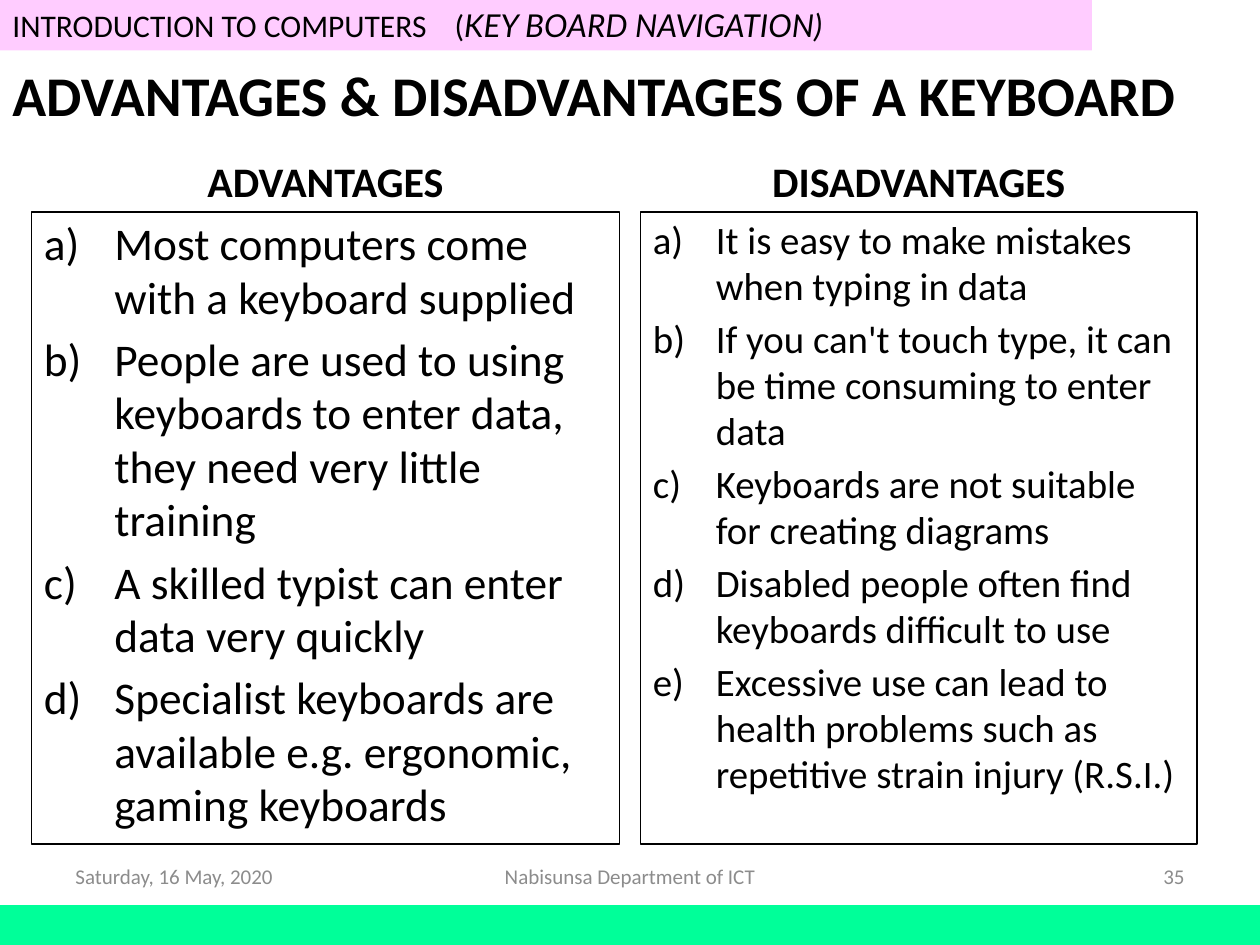
from dataclasses import dataclass

from pptx import Presentation, util as u
from pptx.dml.color import RGBColor
from pptx.enum import shapes, text
from pptx.oxml import xmlchemy
from pptx.oxml.ns import qn
from lxml import etree

# Grid of 120 columns by 90 rows: one cell is a twelfth of an inch
CELLS_PER_INCH = 12
COLOURS = {"text": "000000", "footer": "8C8C8C", "banner": "FFCCFF", "base": "00FF99"}
LEFT, CENTER, RIGHT = text.PP_ALIGN.LEFT, text.PP_ALIGN.CENTER, text.PP_ALIGN.RIGHT
TOP, MIDDLE, BOTTOM = text.MSO_ANCHOR.TOP, text.MSO_ANCHOR.MIDDLE, text.MSO_ANCHOR.BOTTOM


@dataclass
class Area:
    column: float
    row: float
    columns: float
    rows: float

    def lengths(self) -> list:
        cells = (self.column, self.row, self.columns, self.rows)
        return [u.Inches(cell / CELLS_PER_INCH) for cell in cells]


@dataclass
class Panel:
    heading: str
    column: float
    columns: float
    size: float
    indent: float
    items: list


@dataclass
class Footer:
    words: str
    column: float
    columns: float
    align: text.PP_ALIGN


PANELS = [
    Panel("ADVANTAGES", 3, 56, 25.9, 0.56, [
        "Most computers come with a keyboard supplied",
        "People are used to using keyboards to enter data, they need very little training",
        "A skilled typist can enter data very quickly",
        "Specialist keyboards are available e.g. ergonomic, gaming keyboards",
    ]),
    Panel("DISADVANTAGES", 61, 53, 22.2, 0.5, [
        "It is easy to make mistakes when typing in data",
        "If you can't touch type, it can be time consuming to enter data",
        "Keyboards are not suitable for creating diagrams",
        "Disabled people often find keyboards difficult to use",
        "Excessive use can lead to health problems such as repetitive strain injury (R.S.I.)",
    ]),
]
FOOTERS = [
    Footer("Saturday, 16 May, 2020", 6, 28, LEFT),
    Footer("Nabisunsa Department of ICT", 41, 38, CENTER),
    Footer("35", 86, 28, RIGHT),
]


def add_box(slide, area: Area, fill: str = "", line: str = ""):
    shape = slide.shapes.add_shape(shapes.MSO_SHAPE.RECTANGLE, *area.lengths())
    shape.shadow.inherit = False
    if fill:
        shape.fill.solid()
        shape.fill.fore_color.rgb = RGBColor.from_string(COLOURS[fill])
    else:
        shape.fill.background()
    if line:
        shape.line.color.rgb = RGBColor.from_string(COLOURS[line])
        shape.line.width = u.Pt(0.75)
    else:
        shape.line.fill.background()
    return shape


def add_run(paragraph, words: str, size: float, colour: str = "text", font: str = "Calibri",
            bold: bool = False, italic: bool = False) -> None:
    run = paragraph.add_run()
    run.text = words
    run.font.name, run.font.size = font, u.Pt(size)
    run.font.bold, run.font.italic = bold, italic
    run.font.color.rgb = RGBColor.from_string(COLOURS[colour])


def add_label(slide, area: Area, words: str, size: float, align=LEFT, anchor=MIDDLE,
              colour: str = "text", bold: bool = False) -> None:
    frame = slide.shapes.add_textbox(*area.lengths()).text_frame
    frame.word_wrap = True
    frame.vertical_anchor = anchor
    paragraph = frame.paragraphs[0]
    paragraph.alignment = align
    add_run(paragraph, words, size, colour, bold=bold)


def add_banner(slide) -> None:
    frame = add_box(slide, Area(0, 0, 104, 4.8), fill="banner").text_frame
    frame.vertical_anchor = TOP
    paragraph = frame.paragraphs[0]
    paragraph.alignment = LEFT
    # A tab stop sets the gap before the bracket
    properties = paragraph._p.get_or_add_pPr()
    stops = etree.SubElement(properties, qn("a:tabLst"))
    etree.SubElement(stops, qn("a:tab"), pos=str(u.Inches(3.51)), algn="l")
    add_run(paragraph, "INTRODUCTION TO COMPUTERS\t(", 18)
    add_run(paragraph, "KEY BOARD NAVIGATION)", 18, font="Lato", italic=True)


def add_panel(slide, panel: Panel) -> None:
    add_label(slide, Area(panel.column, 13, panel.columns, 7.2), panel.heading, 24,
              align=CENTER, anchor=BOTTOM, bold=True)
    box = add_box(slide, Area(panel.column, 20.2, panel.columns, 60.2), line="text")
    frame = box.text_frame
    frame.word_wrap = True
    frame.vertical_anchor = TOP
    for index, item in enumerate(panel.items):
        paragraph = frame.add_paragraph() if index else frame.paragraphs[0]
        paragraph.alignment = LEFT
        paragraph.line_spacing = 0.98
        paragraph.space_before = u.Pt(round(panel.size * 0.2, 1))
        # Hanging indent with a), b), c) numbering
        properties = paragraph._p.get_or_add_pPr()
        indent = u.Inches(panel.indent)
        properties.set("marL", str(indent))
        properties.set("indent", str(-indent))
        etree.SubElement(properties, qn("a:buFont"), typeface="Calibri")
        etree.SubElement(properties, qn("a:buAutoNum"), type="alphaLcParenR")
        add_run(paragraph, item, panel.size)


def main() -> None:
    presentation = Presentation()
    presentation.slide_width, presentation.slide_height = u.Inches(10), u.Inches(7.5)
    slide = presentation.slides.add_slide(presentation.slide_layouts[6])

    # Bands at the top and bottom edges
    add_banner(slide)
    add_box(slide, Area(0, 86.2, 120, 4.8), fill="base")

    # Title and the two lists
    add_label(slide, Area(0, 5, 114, 8), "ADVANTAGES & DISADVANTAGES OF A KEYBOARD", 32,
              bold=True)
    for panel in PANELS:
        add_panel(slide, panel)

    # Date, department and page number
    for footer in FOOTERS:
        add_label(slide, Area(footer.column, 81, footer.columns, 4.8), footer.words, 12,
                  align=footer.align, colour="footer")

    presentation.save("out.pptx")


if __name__ == "__main__":
    main()
